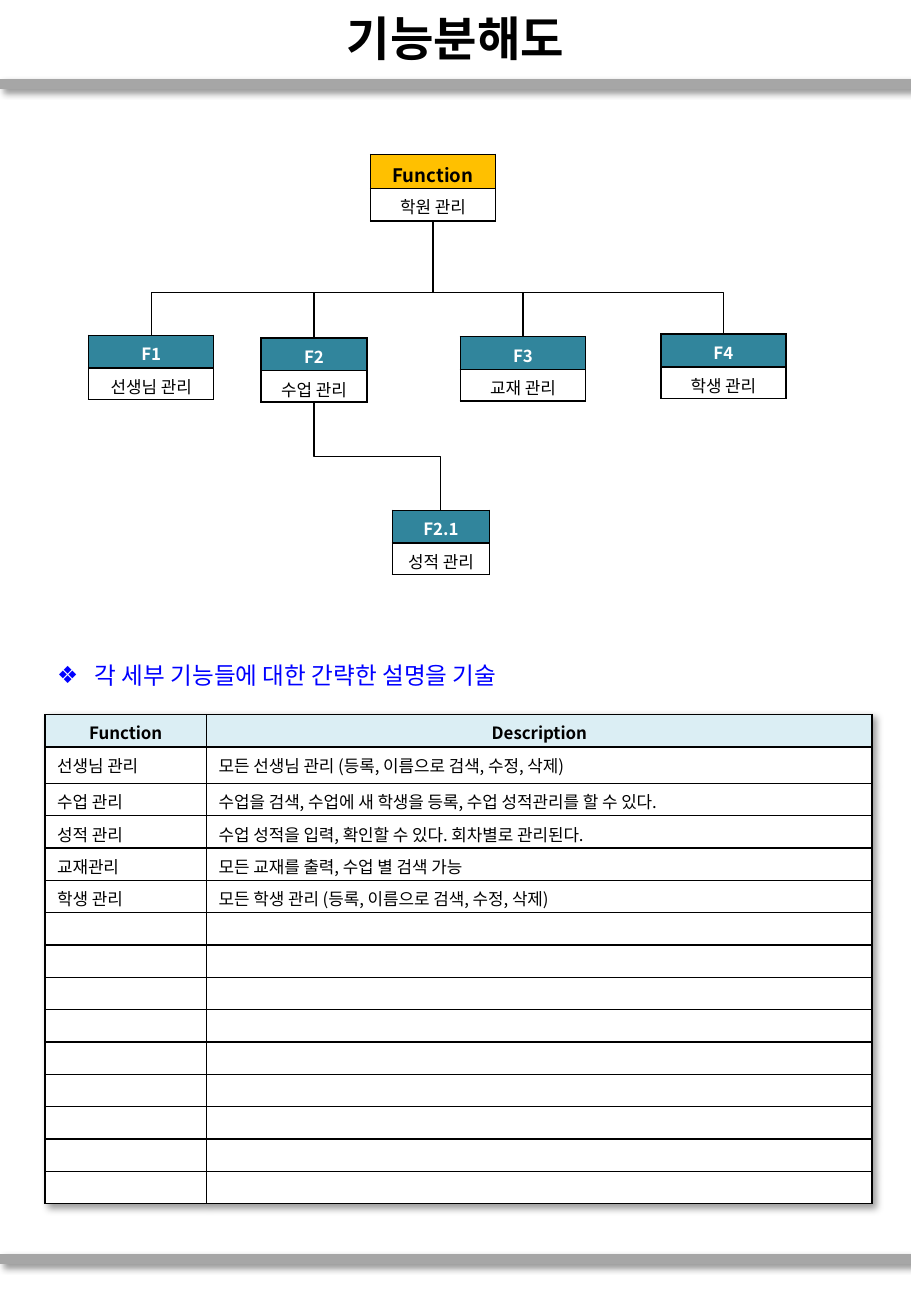
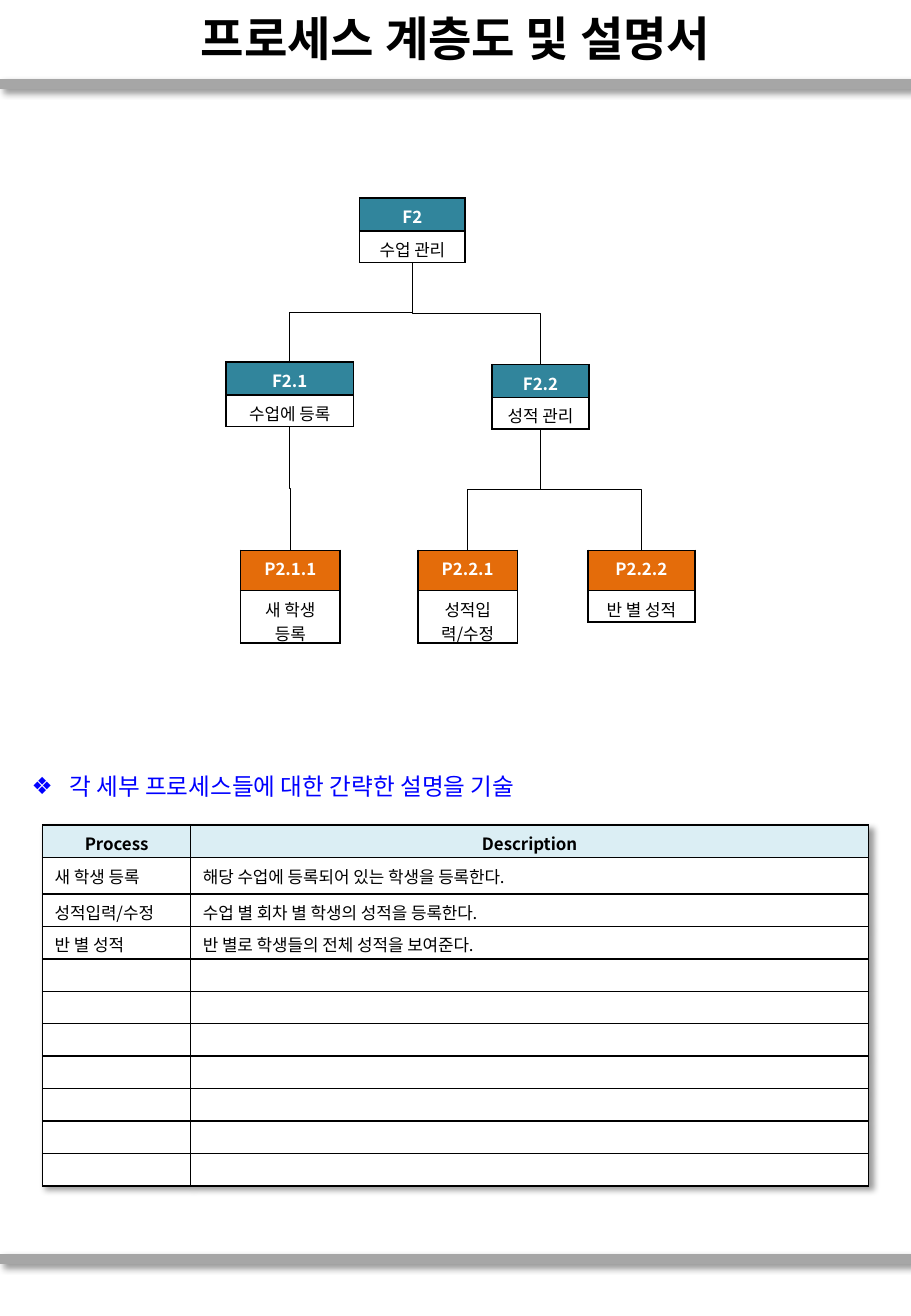
from dataclasses import dataclass

from lxml import etree
from pptx import Presentation
from pptx.dml.color import RGBColor
from pptx.enum import shapes, text
from pptx.oxml.ns import qn
from pptx.util import Inches, Pt


@dataclass(frozen=True)
class Theme:
    font: str = "Noto Sans CJK KR"
    black: str = "000000"
    white: str = "FFFFFF"
    band: str = "A6A6A6"
    teal: str = "31859C"
    amber: str = "FFC000"
    orange: str = "E46C0A"
    header: str = "DBEEF4"
    blue: str = "0000FF"
    title_size: int = 28
    lead_size: int = 14
    root_size: int = 11
    size: int = 10


T = Theme()
SLIDE_W, SLIDE_H = 7.5, 10.83
BAND_YS = (0.69, 10.36)
ROW_H, LABEL_H = 0.53, 0.27
FIRST_ROW_H = 0.3

# Node: code, label, left, top, width, height, code row height, fill, parent code
SLIDES = [
    {
        "title": "기능분해도",
        "nodes": [
            ("Function", "학원 관리", 3.05, 1.27, 1.03, 0.55, 0.28, T.amber, None),
            ("F1", "선생님 관리", 0.73, 2.76, 1.03, ROW_H, LABEL_H, T.teal, "Function"),
            ("F2", "수업 관리", 2.15, 2.78, 0.87, ROW_H, LABEL_H, T.teal, "Function"),
            ("F3", "교재 관리", 3.79, 2.77, 1.03, ROW_H, LABEL_H, T.teal, "Function"),
            ("F4", "학생 관리", 5.44, 2.75, 1.03, ROW_H, LABEL_H, T.teal, "Function"),
            ("F2.1", "성적 관리", 3.23, 4.2, 0.8, ROW_H, LABEL_H, T.teal, "F2"),
        ],
        "bends": {"Function": 2.41},
        "lead": ("각 세부 기능들에 대한 간략한 설명을 기술", 0.37, 5.39),
        "table": {
            "at": (0.37, 5.88, 4.03),
            "cols": (1.33, 5.48),
            "count": 15,
            "rows": [
                ("Function", "Description"),
                ("선생님 관리", "모든 선생님 관리 (등록, 이름으로 검색, 수정, 삭제)"),
                ("수업 관리", "수업을 검색, 수업에 새 학생을 등록, 수업 성적관리를 할 수 있다."),
                ("성적 관리", "수업 성적을 입력, 확인할 수 있다. 회차별로 관리된다."),
                ("교재관리", "모든 교재를 출력, 수업 별 검색 가능"),
                ("학생 관리", "모든 학생 관리 (등록, 이름으로 검색, 수정, 삭제)"),
            ],
        },
    },
    {
        "title": "프로세스 계층도 및 설명서",
        "nodes": [
            ("F2", "수업 관리", 2.96, 1.63, 0.87, ROW_H, LABEL_H, T.teal, None),
            ("F2.1", "수업에 등록", 1.86, 2.98, 1.05, ROW_H, LABEL_H, T.teal, "F2"),
            ("F2.2", "성적 관리", 4.05, 3, 0.8, ROW_H, LABEL_H, T.teal, "F2"),
            ("P2.1.1", "새 학생 등록", 1.98, 4.53, 0.82, 0.76, 0.33, T.orange, "F2.1"),
            ("P2.2.1", "성적입력/수정", 3.44, 4.53, 0.82, 0.76, 0.33, T.orange, "F2.2"),
            ("P2.2.2", "반 별 성적", 4.84, 4.53, 0.88, 0.59, 0.33, T.orange, "F2.2"),
        ],
        "bends": {},
        "lead": ("각 세부 프로세스들에 대한 간략한 설명을 기술", 0.16, 6.3),
        "table": {
            "at": (0.35, 6.79, 2.97),
            "cols": (1.22, 5.58),
            "count": 11,
            "rows": [
                ("Process", "Description"),
                ("새 학생 등록", "해당 수업에 등록되어 있는 학생을 등록한다."),
                ("성적입력/수정", "수업 별 회차 별 학생의 성적을 등록한다."),
                ("반 별 성적", "반 별로 학생들의 전체 성적을 보여준다."),
            ],
        },
    },
]


def sub(parent, tag, **attrs):
    return etree.SubElement(parent, qn(tag), {k: str(v) for k, v in attrs.items()})


def set_attrs(obj, **values):
    for name, value in values.items():
        setattr(obj, name, value)


def write(p, words, size, color, bold=False, align=text.PP_ALIGN.LEFT):
    p.alignment = align
    if not words:
        sub(p._p, "a:endParaRPr", lang="ko-KR", sz=size * 100)
        return
    r = p.add_run()
    r.text = words
    set_attrs(r.font, name=T.font, size=Pt(size), bold=bold)
    r.font.color.rgb = RGBColor.from_string(color)
    sub(r.font._element, "a:ea", typeface=T.font)


def add_shadow(parent):
    effects = sub(parent, "a:effectLst")
    shadow = sub(effects, "a:outerShdw", blurRad=Pt(4), dist=Pt(3),
                 dir=45 * 60000, algn="tl", rotWithShape=0)
    sub(sub(shadow, "a:srgbClr", val=T.black), "a:alpha", val=40000)
    return effects


def style_line(c, color, width):
    c.line.color.rgb = RGBColor.from_string(color)
    c.line.width = Pt(width)


def add_bands(s, master):
    """Draw the grey bands and hand them to the master, which all slides share."""
    for y in BAND_YS:
        c = s.shapes.add_connector(shapes.MSO_CONNECTOR.STRAIGHT,
                                   0, Inches(y), Inches(SLIDE_W), Inches(y))
        style_line(c, T.band, 6)
        add_shadow(c._element.spPr)
        master.shapes._spTree.append(c._element)


def add_elbow(s, x1, y1, x2, y2, bend):
    """Go down from (x1, y1), across at height bend, and down to (x2, y2)."""
    run, rise = abs(x2 - x1), y2 - y1
    c = s.shapes.add_connector(shapes.MSO_CONNECTOR.ELBOW, 0, 0, 0, 0)
    set_attrs(c, left=Inches((x1 + x2 - rise) / 2), top=Inches((y1 + y2 - run) / 2),
              width=Inches(rise), height=Inches(run))
    xfrm = c._element.spPr.find(qn("a:xfrm"))
    if x2 > x1:
        xfrm.set("flipH", "1")
    xfrm.set("rot", str((270 if x2 > x1 else 90) * 60000))
    guides = c._element.spPr.find(qn("a:prstGeom")).find(qn("a:avLst"))
    sub(guides, "a:gd", name="adj1", fmla=f"val {round((bend - y1) / rise * 100000)}")
    style_line(c, T.black, 0.75)
    sub(c._element.spPr, "a:effectLst")


def add_grid(s, left, top, cols, heights):
    frame = s.shapes.add_table(len(heights), len(cols), Inches(left), Inches(top),
                               Inches(sum(cols)), Inches(sum(heights)))
    table = frame.table
    set_attrs(table, first_row=False, horz_banding=False)
    for col, width in zip(table.columns, cols):
        col.width = Inches(width)
    for row, height in zip(table.rows, heights):
        row.height = Inches(height)
    return table


def fill_cell(cell, words, fill, **style):
    set_attrs(cell, margin_left=Inches(0.1), margin_right=Inches(0.1),
              margin_top=Inches(0.05), margin_bottom=0)
    props = cell._tc.get_or_add_tcPr()
    for side in "LRTB":
        edge = sub(props, f"a:ln{side}", w=Pt(1))
        sub(sub(edge, "a:solidFill"), "a:srgbClr", val=T.black)
    cell.fill.solid()
    cell.fill.fore_color.rgb = RGBColor.from_string(fill)
    write(cell.text_frame.paragraphs[0], words, **style)


def add_tree(s, nodes, bends):
    places = {code: (x + w / 2, y, y + h) for code, _, x, y, w, h, *_ in nodes}
    for code, label, x, y, w, h, code_h, fill, parent in nodes:
        table = add_grid(s, x, y, [w], [code_h, h - code_h])
        is_amber = fill == T.amber
        fill_cell(table.cell(0, 0), code, fill, bold=True, align=text.PP_ALIGN.CENTER,
                  size=T.root_size if is_amber else T.size,
                  color=T.black if is_amber else T.white)
        fill_cell(table.cell(1, 0), label, T.white, size=T.size, color=T.black,
                  align=text.PP_ALIGN.CENTER)
        if parent:
            x1, _, y1 = places[parent]
            x2, y2, _ = places[code]
            add_elbow(s, x1, y1, x2, y2, bends.get(parent, (y1 + y2) / 2))


def add_descriptions(s, at, cols, count, rows):
    left, top, height = at
    row_h = (height - FIRST_ROW_H) / (count - 1)
    heights = [FIRST_ROW_H if i == 1 else row_h for i in range(count)]
    table = add_grid(s, left, top, cols, heights)
    table._tbl.tblPr.insert(0, add_shadow(table._tbl.tblPr))
    for i in range(count):
        words = rows[i] if i < len(rows) else ("", "")
        is_head = i == 0
        for j, word in enumerate(words):
            fill_cell(table.cell(i, j), word, T.header if is_head else T.white,
                      size=T.size, color=T.black, bold=is_head,
                      align=text.PP_ALIGN.CENTER if is_head else text.PP_ALIGN.LEFT)


def add_title(s, words):
    tf = s.shapes.title.text_frame
    set_attrs(tf, auto_size=text.MSO_AUTO_SIZE.NONE, word_wrap=True,
              vertical_anchor=text.MSO_ANCHOR.MIDDLE)
    write(tf.paragraphs[0], words, T.title_size, T.black, True, text.PP_ALIGN.CENTER)


def add_lead(s, words, left, top):
    sp = s.placeholders[1]
    set_attrs(sp, left=Inches(left), top=Inches(top),
              width=Inches(6.14), height=Inches(0.34))
    tf = sp.text_frame
    set_attrs(tf, auto_size=text.MSO_AUTO_SIZE.SHAPE_TO_FIT_TEXT, word_wrap=True)
    p = tf.paragraphs[0]
    p.space_before = Pt(0)
    props = p._p.get_or_add_pPr()
    props.set("marL", str(Inches(0.31)))
    props.set("indent", str(-Inches(0.31)))
    sub(props, "a:buChar", char="❖")
    write(p, words, T.lead_size, T.blue)


def main():
    prs = Presentation()
    set_attrs(prs, slide_width=Inches(SLIDE_W), slide_height=Inches(SLIDE_H))
    master = prs.slide_master
    set_attrs(master.placeholders[0], left=0, top=Inches(0.01),
              width=Inches(SLIDE_W), height=Inches(0.6))
    for i, content in enumerate(SLIDES):
        s = prs.slides.add_slide(prs.slide_layouts[1])
        if i == 0:
            add_bands(s, master)
        add_title(s, content["title"])
        add_lead(s, *content["lead"])
        add_descriptions(s, **content["table"])
        add_tree(s, content["nodes"], content["bends"])
    prs.save("out.pptx")


if __name__ == "__main__":
    main()
